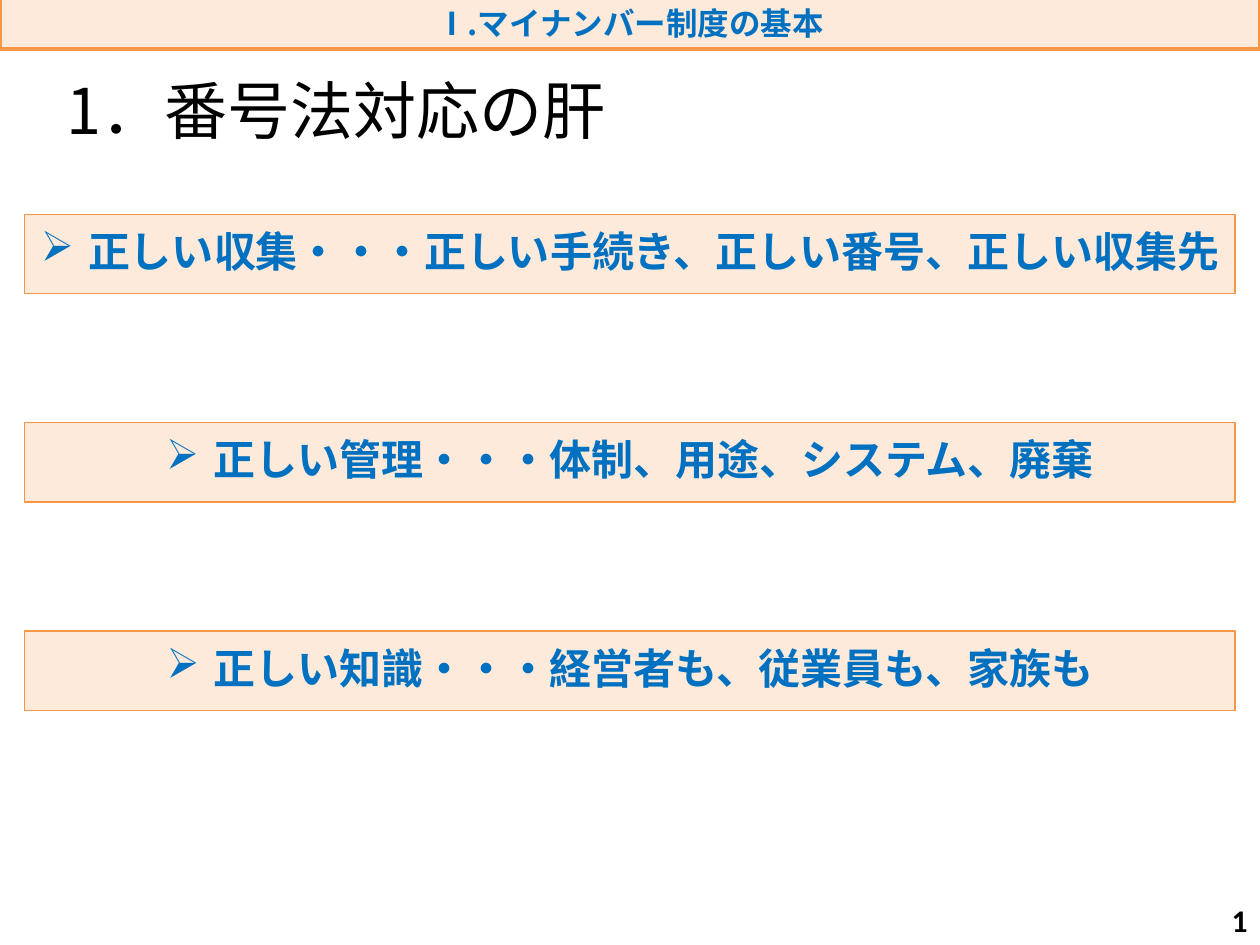
from lxml.etree import SubElement
from pptx import Presentation
from pptx.dml.color import RGBColor
from pptx.enum.shapes import MSO_SHAPE
from pptx.enum.text import MSO_ANCHOR, PP_ALIGN
from pptx.oxml.ns import qn
from pptx.util import Cm, Pt

# Content
HEAD = "Ⅰ.マイナンバー制度の基本"
TITLE = "1．番号法対応の肝"
POINTS = [
    "正しい収集・・・正しい手続き、正しい番号、正しい収集先",
    "正しい管理・・・体制、用途、システム、廃棄",
    "正しい知識・・・経営者も、従業員も、家族も",
]
PAGE = "1"

THEME = {
    "fill": RGBColor(0xFD, 0xEA, 0xDA),
    "line": RGBColor(0xF7, 0x96, 0x46),
    "blue": RGBColor(0x00, 0x70, 0xC0),
    "black": RGBColor(0, 0, 0),
    "font": "Noto Sans CJK JP",
    "digit": "Calibri",
    "title": Pt(36),
    "point": Pt(24),
    "small": Pt(18),
}

# Layout in cm: left, top, width, height
HEAD_BOX = (0, -0.08, 25.4, 1.07)
TITLE_BOX = (1.09, 1.32, 21.59, 2.01)
PAGE_BOX = (19.48, 18.03, 5.92, 1.02)
LEFT, TOP, WIDE, HIGH, STEP = 0.5, 4.32, 24.4, 1.6, 4.2
INDENT = Cm(0.95)


def write(shape, text, size, color, align, anchor=MSO_ANCHOR.MIDDLE,
          bold=True, font=THEME["font"], wrap=True):
    frame = shape.text_frame
    frame.word_wrap = wrap
    frame.vertical_anchor = anchor
    para = frame.paragraphs[0]
    para.alignment = align
    run = para.add_run()
    run.text = text
    style = {"name": font, "size": THEME[size], "bold": bold}
    for key, value in style.items():
        setattr(run.font, key, value)
    run.font.color.rgb = THEME[color]
    SubElement(run.font._element, qn("a:ea"), typeface=font)
    return para


def add_text(slide, box, *args, **style):
    shape = slide.shapes.add_textbox(*map(Cm, box))
    return write(shape, *args, **style)


def add_band(slide, box, weight, text, size, **style):
    shape = slide.shapes.add_shape(MSO_SHAPE.RECTANGLE, *map(Cm, box))
    shape.shadow.inherit = False
    shape.fill.solid()
    shape.fill.fore_color.rgb = THEME["fill"]
    shape.line.color.rgb = THEME["line"]
    shape.line.width = Pt(weight)
    return write(shape, text, size, "blue", PP_ALIGN.CENTER, **style)


def add_bullet(para):
    para.line_spacing = 0.9
    props = para._p.get_or_add_pPr()
    props.set("marL", str(INDENT))
    props.set("indent", str(-INDENT))
    SubElement(props, qn("a:buChar"), char="➢")


def main():
    deck = Presentation()
    deck.slide_width, deck.slide_height = Cm(25.4), Cm(19.05)
    slide = deck.slides.add_slide(deck.slide_layouts[6])

    # Page number and title
    add_text(slide, PAGE_BOX, PAGE, "small", "black", PP_ALIGN.RIGHT,
             font=THEME["digit"])
    add_text(slide, TITLE_BOX, TITLE, "title", "black", PP_ALIGN.LEFT,
             anchor=MSO_ANCHOR.TOP, bold=False)

    # Key points, evenly spaced
    for row, text in enumerate(POINTS):
        box = (LEFT, TOP + row * STEP, WIDE, HIGH)
        add_bullet(add_band(slide, box, 0.75, text, "point", wrap=False))

    # Section band across the top
    add_band(slide, HEAD_BOX, 2, HEAD, "small")

    deck.save("out.pptx")


if __name__ == "__main__":
    main()
